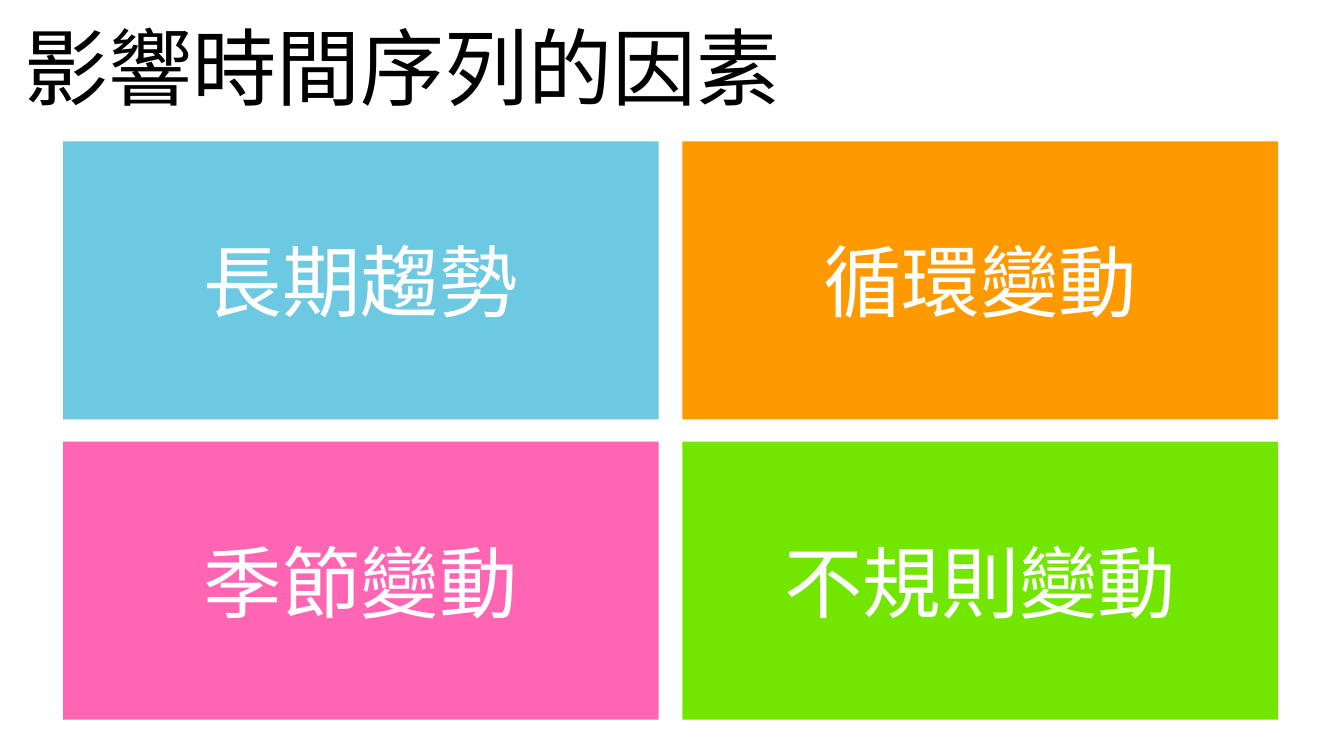
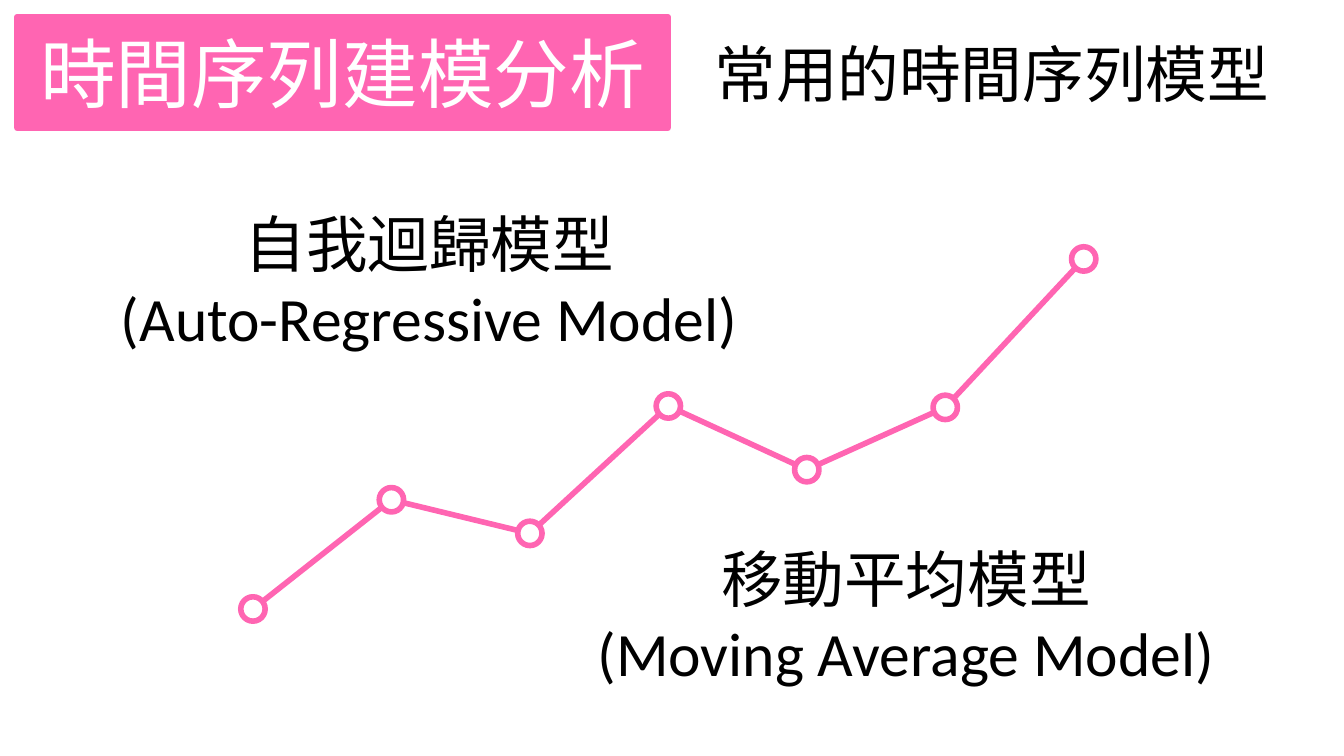
"""Build two slides on time series factors and models."""
from dataclasses import dataclass
from itertools import pairwise

from lxml.etree import SubElement
from pptx import Presentation
from pptx.dml.color import RGBColor
from pptx.enum.shapes import MSO_CONNECTOR, MSO_SHAPE
from pptx.enum.text import MSO_ANCHOR, MSO_AUTO_SIZE, PP_ALIGN
from pptx.oxml.ns import qn
from pptx.util import Pt


@dataclass(frozen=True)
class Theme:
    black: RGBColor = RGBColor(0x00, 0x00, 0x00)
    white: RGBColor = RGBColor(0xFF, 0xFF, 0xFF)
    blue: RGBColor = RGBColor(0x6D, 0xC8, 0xE1)
    orange: RGBColor = RGBColor(0xFF, 0x99, 0x00)
    pink: RGBColor = RGBColor(0xFF, 0x65, 0xB2)
    green: RGBColor = RGBColor(0x73, 0xE6, 0x00)
    chinese_font: str = "Noto Sans CJK SC"
    model_font: str = "Calibri"
    title_size: int = 60
    tile_size: int = 56
    band_size: int = 54
    model_size: int = 44
    band_border: float = 4.5
    trend_width: int = 4


theme = Theme()


def write(shape, text, size, color, align=PP_ALIGN.CENTER,
          anchor=MSO_ANCHOR.MIDDLE, font_name=theme.chinese_font):
    frame = shape.text_frame
    frame.text = text
    frame.word_wrap = True
    frame.auto_size = MSO_AUTO_SIZE.NONE
    frame.vertical_anchor = anchor
    for paragraph in frame.paragraphs:
        paragraph.alignment = align
        for run in paragraph.runs:
            run.font.size = Pt(size)
            run.font.color.rgb = color
            run.font.name = font_name
            SubElement(run.font._element, qn("a:ea"), typeface=font_name)


def place(shape, left, top, width, height):
    shape.left, shape.top = Pt(left), Pt(top)
    shape.width, shape.height = Pt(width), Pt(height)


deck = Presentation()
deck.slide_width, deck.slide_height = Pt(960), Pt(540)
title_only = deck.slide_layouts[5]

factors = deck.slides.add_slide(title_only)
factors_title = factors.shapes.title
place(factors_title, 10, 7, 702, 80)
write(factors_title, "影響時間序列的因素", theme.title_size, theme.black,
      align=PP_ALIGN.LEFT)

factor_tiles = [
    ("長期趨勢", theme.blue),
    ("循環變動", theme.orange),
    ("季節變動", theme.pink),
    ("不規則變動", theme.green),
]
tile_width, tile_height = 425.5, 198.5
tile_gap_x, tile_gap_y = 17, 16
for index, (factor, color) in enumerate(factor_tiles):
    row, column = divmod(index, 2)
    tile = factors.shapes.add_shape(
        MSO_SHAPE.RECTANGLE,
        Pt(45 + column * (tile_width + tile_gap_x)),
        Pt(101 + row * (tile_height + tile_gap_y)),
        Pt(tile_width), Pt(tile_height))
    tile.shadow.inherit = False
    tile.fill.solid()
    tile.fill.fore_color.rgb = color
    tile.line.fill.background()
    write(tile, factor, theme.tile_size, theme.white)

models = deck.slides.add_slide(title_only)
models_title = models.shapes.title
place(models_title, 12.2, 12.2, 465, 79)
models_title.fill.solid()
models_title.fill.fore_color.rgb = theme.pink
models_title.line.color.rgb = theme.pink
models_title.line.width = Pt(theme.band_border)
write(models_title, "時間序列建模分析", theme.band_size, theme.white)

trend_heights = [435, 357, 381, 290, 335.5, 291, 185]
trend_points = [(180.7 + 98.9 * step, y) for step, y in enumerate(trend_heights)]
for start, end in pairwise(trend_points):
    segment = models.shapes.add_connector(
        MSO_CONNECTOR.STRAIGHT, *(Pt(value) for value in start + end))
    segment.line.color.rgb = theme.pink
    segment.line.width = Pt(theme.trend_width)
    SubElement(segment._element.spPr, qn("a:effectLst"))

marker_size = 17.4
for x, y in trend_points:
    marker = models.shapes.add_shape(
        MSO_SHAPE.OVAL, Pt(x - marker_size / 2), Pt(y - marker_size / 2),
        Pt(marker_size), Pt(marker_size))
    marker.shadow.inherit = False
    marker.fill.solid()
    marker.fill.fore_color.rgb = theme.white
    marker.line.color.rgb = theme.pink
    marker.line.width = Pt(theme.trend_width)

model_names = [
    ("自我迴歸模型\n(Auto-Regressive Model)", 49, 143.3),
    ("移動平均模型\n(Moving Average Model)", 389.5, 383),
]
for name, left, top in model_names:
    model = models.shapes.add_textbox(Pt(left), Pt(top), Pt(515.5), Pt(114))
    write(model, name, theme.model_size, theme.black,
          anchor=MSO_ANCHOR.TOP, font_name=theme.model_font)

subtitle = models.shapes.add_textbox(Pt(503.3), Pt(22), Pt(430), Pt(60.5))
write(subtitle, "常用的時間序列模型", theme.model_size, theme.black,
      align=PP_ALIGN.LEFT)

deck.save("out.pptx")
